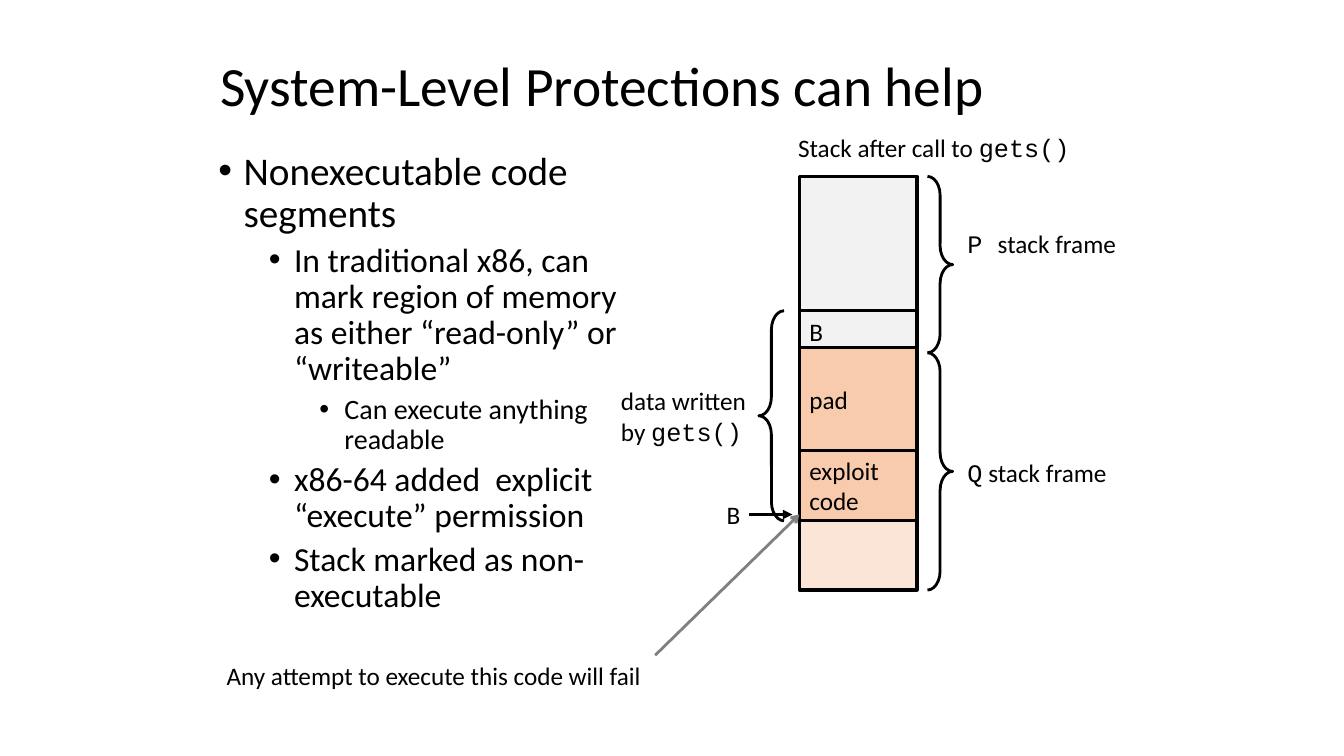
from lxml import etree
from pptx import Presentation
from pptx.dml.color import RGBColor
from pptx.enum.shapes import MSO_CONNECTOR as CONNECTOR, MSO_SHAPE as SHAPE
from pptx.enum.text import MSO_ANCHOR as ANCHOR, MSO_AUTO_SIZE as AUTO, PP_ALIGN as ALIGN
from pptx.oxml.ns import qn
from pptx.util import Pt

BLACK, GRAY = "000000", "808080"
SANS, MONO = "Calibri", "Courier New"


def color(hex_text):
    return RGBColor.from_string(hex_text)


class SlideBuilder:
    """Holds the text style and the slide being filled."""

    def __init__(self, slide, size=18):
        self.slide, self.size = slide, size

    def add_runs(self, paragraph, runs, size=None):
        """Add runs: a plain string is sans, a (text, font) pair names its font."""
        for item in runs:
            text, font = (item, SANS) if isinstance(item, str) else item
            run = paragraph.add_run()
            run.text = text
            run.font.name, run.font.size = font, Pt(size or self.size)
            run.font.color.rgb = color(BLACK)

    def fill_lines(self, frame, lines, align=ALIGN.LEFT):
        for i, runs in enumerate(lines):
            paragraph = frame.add_paragraph() if i else frame.paragraphs[0]
            paragraph.alignment = align
            self.add_runs(paragraph, runs)

    def title(self, text, box, size):
        holder = self.slide.shapes.title
        holder.left, holder.top, holder.width, holder.height = map(Pt, box)
        frame = holder.text_frame
        frame.auto_size, frame.vertical_anchor = AUTO.NONE, ANCHOR.MIDDLE
        paragraph = frame.paragraphs[0]
        paragraph.alignment, paragraph.line_spacing = ALIGN.LEFT, 0.9
        self.add_runs(paragraph, [text], size)

    def label(self, lines, box, align=ALIGN.LEFT, anchor=ANCHOR.MIDDLE):
        frame = self.slide.shapes.add_textbox(*map(Pt, box)).text_frame
        frame.word_wrap, frame.vertical_anchor = False, anchor
        self.fill_lines(frame, lines, align)

    def bullets(self, points, box):
        frame = self.slide.shapes.add_textbox(*map(Pt, box)).text_frame
        frame.word_wrap = True
        for i, (level, text) in enumerate(points):
            paragraph = frame.add_paragraph() if i else frame.paragraphs[0]
            paragraph.level, paragraph.line_spacing = level, 0.9
            if i:
                paragraph.space_before = Pt(5)
            props = paragraph._p.get_or_add_pPr()
            props.set("marL", str(Pt(18 + 36 * level)))
            props.set("indent", str(Pt(-18)))
            etree.SubElement(props, qn("a:buFont")).set("typeface", "Arial")
            etree.SubElement(props, qn("a:buChar")).set("char", "•")
            self.add_runs(paragraph, [text], 28 - 4 * level)

    def block(self, lines, box, fill):
        rect = self.slide.shapes.add_shape(SHAPE.RECTANGLE, *map(Pt, box))
        rect.shadow.inherit = False
        rect.fill.solid()
        rect.fill.fore_color.rgb = color(fill)
        rect.line.color.rgb, rect.line.width = color(BLACK), Pt(2.25)
        rect.text_frame.word_wrap = True
        rect.text_frame.vertical_anchor = ANCHOR.MIDDLE
        self.fill_lines(rect.text_frame, lines)

    def brace(self, kind, box):
        brace = self.slide.shapes.add_shape(kind, *map(Pt, box))
        brace.shadow.inherit = False
        brace.adjustments[0] = 0.75
        brace.fill.background()
        brace.line.color.rgb, brace.line.width = color(BLACK), Pt(2)

    def arrow(self, start, end, stroke, width, head):
        line = self.slide.shapes.add_connector(
            CONNECTOR.STRAIGHT, *map(Pt, (*start, *end)))
        line.line.color.rgb, line.line.width = color(stroke), Pt(width)
        outline = line._element.spPr.find(qn("a:ln"))
        etree.SubElement(outline, qn("a:tailEnd")).set("type", head)
        etree.SubElement(line._element.spPr, qn("a:effectLst"))


def main():
    deck = Presentation()
    deck.slide_width, deck.slide_height = Pt(960), Pt(540)
    page = SlideBuilder(deck.slides.add_slide(deck.slide_layouts[5]))

    # Title and argument
    page.title("System-Level Protections can help", (150, 42, 636, 42), 39.6)
    page.bullets([
        (0, "Nonexecutable code segments"),
        (1, "In traditional x86, can mark region of memory as either "
            "“read-only” or “writeable”"),
        (2, "Can execute anything readable"),
        (1, "x86-64 added  explicit “execute” permission"),
        (1, "Stack marked as non-executable"),
    ], (149, 104.5, 319, 411))

    # Stack contents, from high to low addresses
    stack_left, stack_width = 571, 84
    stack_top, written_top, frame_split, code_bottom, stack_bottom = 126, 222, 252, 372, 421.5
    stack_blocks = [
        ([], stack_top, written_top, "F2F2F2"),
        ([["B"]], written_top, frame_split, "F2F2F2"),
        ([], code_bottom, stack_bottom, "FBE5D6"),
        ([["exploit"], ["code"]], 321.5, code_bottom, "F8CBAD"),
        ([["pad"]], 248.5, 321.5, "F8CBAD"),
    ]
    for lines, top, bottom, fill in stack_blocks:
        page.block(lines, (stack_left, top, stack_width, bottom - top), fill)

    # Braces for the two frames and the overwritten range
    for kind, left, top, bottom in [
        (SHAPE.RIGHT_BRACE, 662.5, stack_top, frame_split),
        (SHAPE.RIGHT_BRACE, 662.5, frame_split, stack_bottom),
        (SHAPE.LEFT_BRACE, 542, written_top, code_bottom),
    ]:
        page.brace(kind, (left, top, 18, bottom - top))

    # Labels
    page.label([["Stack after call to ", ("gets()", MONO)]],
               (563, 91, 211, 29), anchor=ANCHOR.TOP)
    page.label([[("P ", MONO), "stack frame"]], (684, 159.5, 122.5, 29))
    page.label([[("Q", MONO), " stack frame"]], (684, 323, 116, 29))
    page.label([["data written"], ["by ", ("gets()", MONO)]], (436.5, 271.5, 108, 51))
    page.label([["B"]], (512, 353, 24.5, 29))

    # Return address and the blocked jump into the exploit
    page.arrow((535, 367.5), (566, 367.5), BLACK, 2.25, "triangle")
    page.arrow((468, 468), (stack_left, 367.5), GRAY, 2, "arrow")
    page.label([["Any attempt to execute this code will fail"]],
               (141, 468, 324, 29), ALIGN.RIGHT, ANCHOR.TOP)

    deck.save("out.pptx")


if __name__ == "__main__":
    main()
